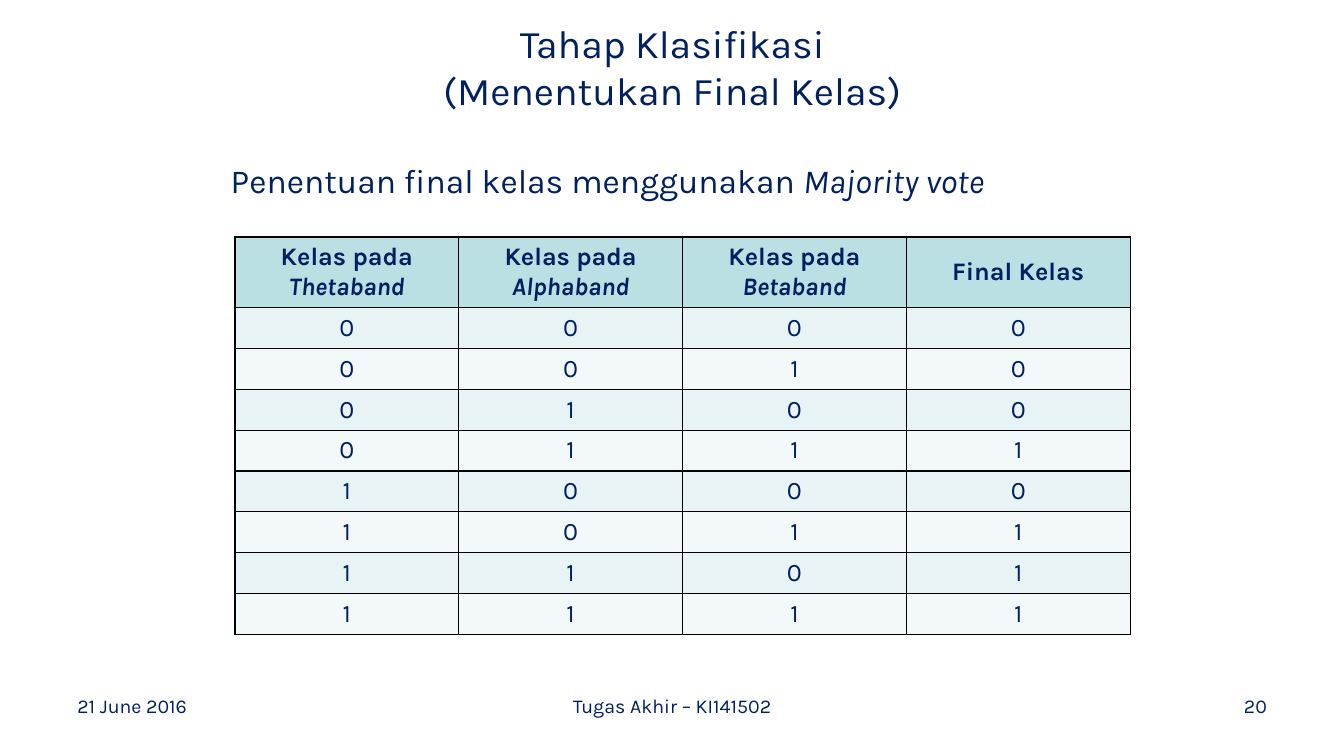
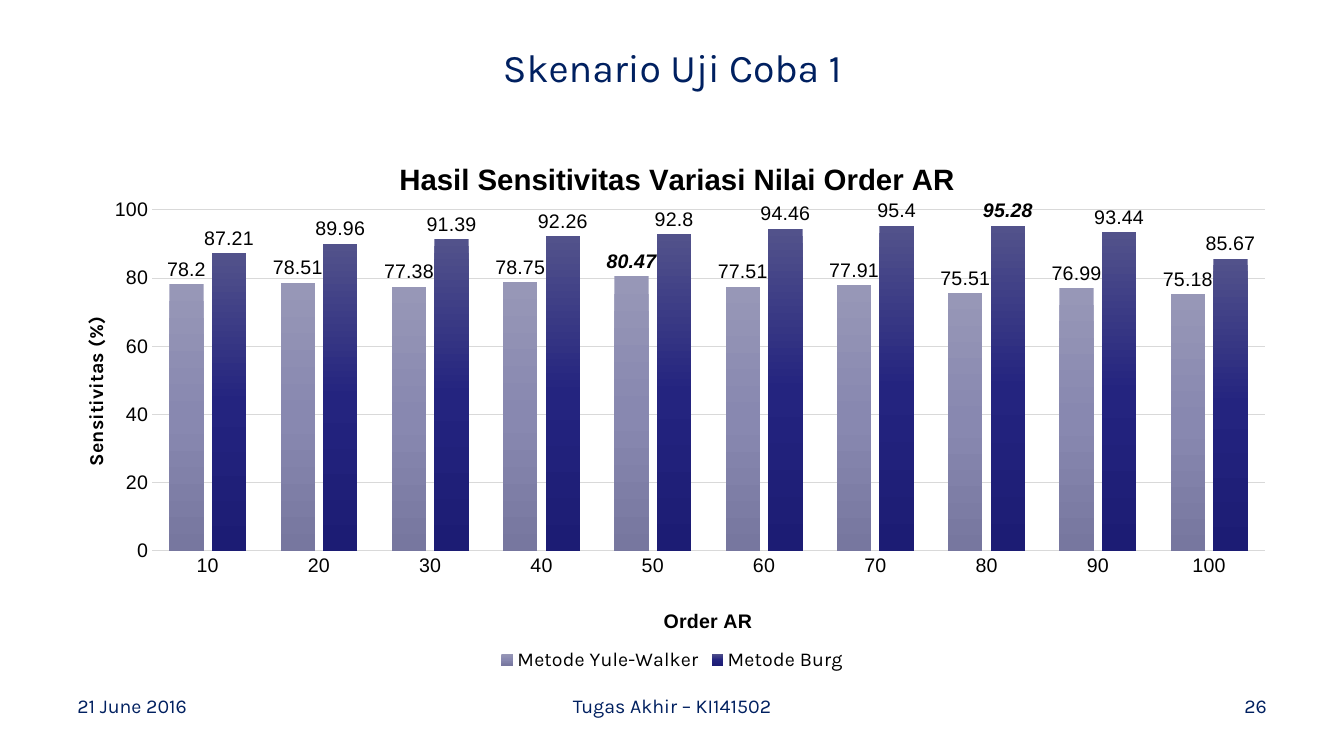
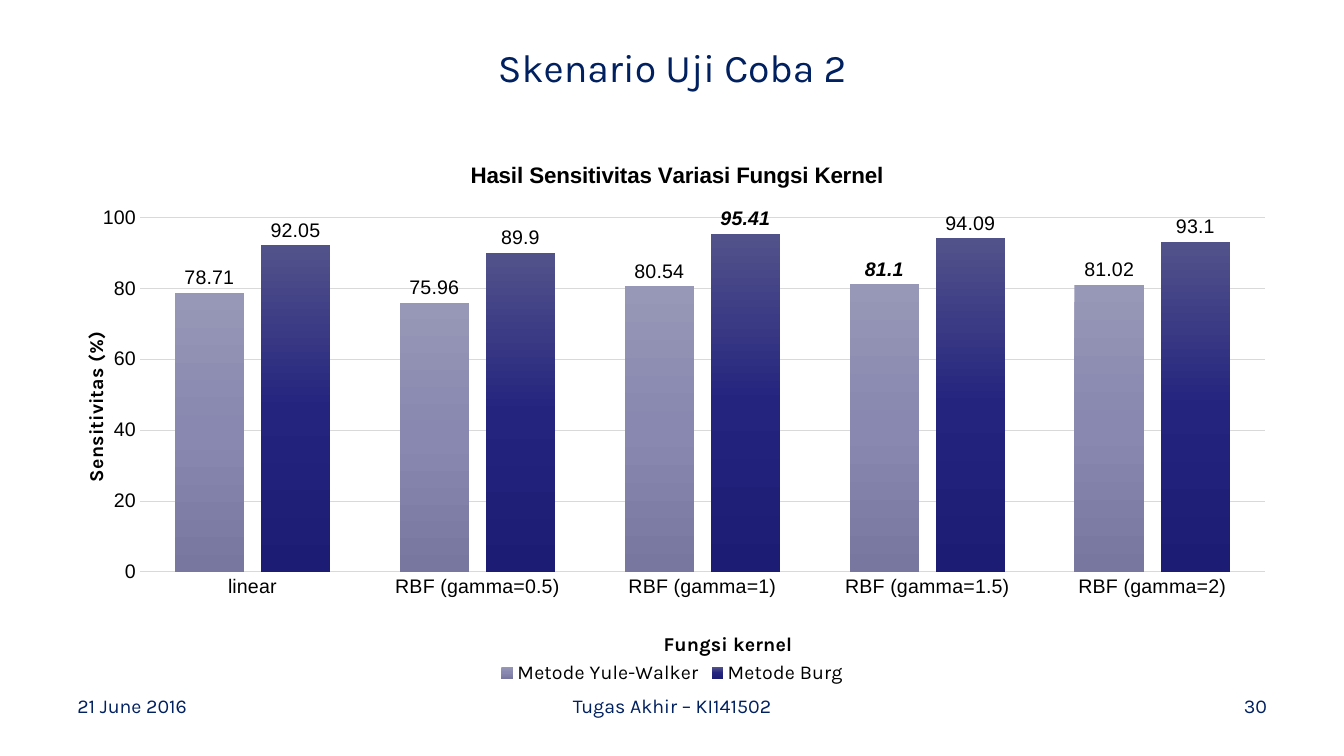
from pptx import Presentation
from pptx.chart.data import CategoryChartData
from pptx.dml.color import RGBColor
from pptx.enum.chart import (XL_CHART_TYPE, XL_LABEL_POSITION,
                             XL_LEGEND_POSITION, XL_TICK_MARK)
from pptx.enum.text import MSO_ANCHOR, MSO_AUTO_SIZE, PP_ALIGN
from pptx.oxml import parse_xml
from pptx.oxml.ns import nsdecls, qn
from pptx.util import Cm, Pt

LEFT, CENTER, RIGHT = PP_ALIGN.LEFT, PP_ALIGN.CENTER, PP_ALIGN.RIGHT
TOP, MIDDLE = MSO_ANCHOR.TOP, MSO_ANCHOR.MIDDLE
CLUSTERED = XL_CHART_TYPE.COLUMN_CLUSTERED
OUTSIDE_END = XL_LABEL_POSITION.OUTSIDE_END
LEGEND_BOTTOM = XL_LEGEND_POSITION.BOTTOM
NO_TICK = XL_TICK_MARK.NONE

KARLA, ARIAL = "Karla", "Arial"
NAVY, BLACK, GRID = "002060", "000000", "D9D9D9"
HEADER_FILL, BAND_FILLS = "BBE0E3", ("E7F3F4", "F3F9FA")
GRADIENTS = (("9797B7", "8888B0", "77779F"), ("52528B", "24247F", "1C1C74"))
MARGIN, CONTENT_WIDTH = 1.7, 30.48


def color(hex_value):
    return RGBColor.from_string(hex_value)


def style_font(font, size=14, name=ARIAL, fill=BLACK, bold=False, italic=False):
    font.size, font.name = Pt(size), name
    font.bold, font.italic = bold, italic
    font.color.rgb = color(fill)


def write(frame, text, align=None, **font_format):
    """Each line is a paragraph; words between asterisks are italic."""
    for index, line in enumerate(text.split("\n")):
        paragraph = frame.add_paragraph() if index else frame.paragraphs[0]
        if align is not None:
            paragraph.alignment = align
        for part, words in enumerate(line.split("*")):
            if words:
                run = paragraph.add_run()
                run.text = words
                style_font(run.font, italic=part % 2 == 1, **font_format)


def set_layout(element, index, **fractions):
    """Place a chart part by fractions of the chart area."""
    for layout in element.findall(qn("c:layout")):
        element.remove(layout)
    modes = '<c:xMode val="edge"/><c:yMode val="edge"/>'
    values = "".join(f'<c:{key} val="{value}"/>' for key, value in fractions.items())
    target = '<c:layoutTarget val="inner"/>' if "w" in fractions else ""
    element.insert(index, parse_xml(
        f'<c:layout {nsdecls("c")}><c:manualLayout>{target}{modes}{values}'
        '</c:manualLayout></c:layout>'))


def set_gradient(series, hex_values):
    stops = "".join(
        f'<a:gs pos="{50000 * index}"><a:srgbClr val="{value}"/></a:gs>'
        for index, value in enumerate(hex_values))
    series.format.fill.gradient()
    old_fill = series.format.fill._xPr.find(qn("a:gradFill"))
    old_fill.getparent().replace(old_fill, parse_xml(
        f'<a:gradFill {nsdecls("a")} rotWithShape="1"><a:gsLst>{stops}</a:gsLst>'
        '<a:lin ang="5400000" scaled="0"/></a:gradFill>'))


def set_borders(cell):
    properties = cell._tc.get_or_add_tcPr()
    for side in ("lnL", "lnR", "lnT", "lnB"):
        properties.append(parse_xml(
            f'<a:{side} {nsdecls("a")} w="12700"><a:solidFill>'
            f'<a:srgbClr val="{BLACK}"/></a:solidFill></a:{side}>'))


class Deck:
    TITLE_AND_BODY, TITLE_ONLY = 1, 5

    def __init__(self):
        self.presentation = Presentation()
        self.presentation.slide_width = Cm(33.87)
        self.presentation.slide_height = Cm(19.05)
        self.slide = None

    def add_slide(self, title, number, layout=TITLE_ONLY):
        layouts = self.presentation.slide_layouts
        self.slide = self.presentation.slides.add_slide(layouts[layout])
        self.fill_placeholder(self.slide.shapes.title, title,
                              (MARGIN, 0.5, CONTENT_WIDTH, 2.36),
                              MIDDLE, align=CENTER, size=28)
        # Footer: date, course, page
        self.footer(MARGIN, 7.9, "21 June 2016", LEFT)
        self.footer(11.58, 10.72, "Tugas Akhir – KI141502", CENTER)
        self.footer(24.28, 7.9, str(number), RIGHT)

    def fill_placeholder(self, shape, text, box, anchor, **text_format):
        shape.left, shape.top, shape.width, shape.height = map(Cm, box)
        frame = shape.text_frame
        frame.auto_size, frame.word_wrap = MSO_AUTO_SIZE.NONE, True
        frame.vertical_anchor = anchor
        write(frame, text, name=KARLA, fill=NAVY, **text_format)

    def footer(self, left, width, text, align):
        box = self.slide.shapes.add_textbox(Cm(left), Cm(17.35), Cm(width), Cm(1.32))
        box.text_frame.word_wrap = True
        write(box.text_frame, text, align=align, name=KARLA, fill=NAVY)

    def body(self, text):
        shape = self.slide.placeholders[1]
        self.fill_placeholder(shape, text, (5.56, 3.89, 26.62, 13.13), TOP, size=24)
        for paragraph in shape.text_frame.paragraphs:
            properties = paragraph._p.get_or_add_pPr()
            properties.set("marL", "0")
            properties.set("indent", "0")
            properties.append(parse_xml(f'<a:buNone {nsdecls("a")}/>'))

    def table(self, rows, left, top, column_width, header_height, row_height):
        columns = len(rows[0])
        height = header_height + row_height * (len(rows) - 1)
        table = self.slide.shapes.add_table(
            len(rows), columns, Cm(left), Cm(top),
            Cm(column_width * columns), Cm(height)).table
        for column in table.columns:
            column.width = Cm(column_width)
        for row_index, values in enumerate(rows):
            is_header = row_index == 0
            table.rows[row_index].height = Cm(header_height if is_header else row_height)
            fill = HEADER_FILL if is_header else BAND_FILLS[(row_index - 1) % 2]
            for column_index, value in enumerate(values):
                cell = table.cell(row_index, column_index)
                set_borders(cell)
                cell.fill.solid()
                cell.fill.fore_color.rgb = color(fill)
                cell.vertical_anchor = MIDDLE
                write(cell.text_frame, value, align=CENTER, size=18,
                      name=KARLA, fill=NAVY, bold=is_header)

    def chart(self, height, categories, series_values, best, plot_box, titles):
        data = CategoryChartData()
        data.categories = categories
        for name, values in series_values.items():
            data.add_series(name, values)
        chart = self.slide.shapes.add_chart(
            CLUSTERED, Cm(MARGIN), Cm(3.38), Cm(CONTENT_WIDTH), Cm(height), data).chart
        style_font(chart.font, size=10)
        plot = chart.plots[0]
        plot.gap_width, plot.overlap, plot.vary_by_categories = 100, -24, False
        set_layout(chart._chartSpace.chart.plotArea, 0, **plot_box)

        # Legend
        chart.has_legend = True
        chart.legend.position = LEGEND_BOTTOM
        chart.legend.include_in_layout = False
        style_font(chart.legend.font, name=KARLA)

        # Axes
        category_axis, value_axis = chart.category_axis, chart.value_axis
        for axis in (category_axis, value_axis):
            axis.major_tick_mark = axis.minor_tick_mark = NO_TICK
            style_font(axis.tick_labels.font)
        value_axis.minimum_scale, value_axis.maximum_scale = 0, 100
        value_axis.major_unit = 20
        value_axis.format.line.fill.background()
        value_axis.has_major_gridlines = True
        for line in (category_axis.format.line, value_axis.major_gridlines.format.line):
            line.color.rgb, line.width = color(GRID), Pt(0.75)

        # Titles of the chart and of both axes
        chart.has_title = True
        chart_parts = (chart.chart_title, category_axis.axis_title, value_axis.axis_title)
        for part, (text, x, y, size, font_name) in zip(chart_parts, titles):
            write(part.text_frame, text, size=size, name=font_name, bold=True)
            set_layout(part._element, 1, x=x, y=y)
        body = value_axis.axis_title._element.find(".//" + qn("a:bodyPr"))
        body.set("rot", "-5400000")
        body.set("vert", "horz")

        # Columns and value labels, the best of each series emphasised
        for series, gradient, best_index in zip(plot.series, GRADIENTS, best):
            set_gradient(series, gradient)
            labels = series.data_labels
            labels.show_value, labels.position = True, OUTSIDE_END
            style_font(labels.font)
            best_label = series.points[best_index].data_label
            style_font(best_label.font, bold=True, italic=True)
            best_label.position = OUTSIDE_END


def main():
    deck = Deck()

    # Majority vote table
    deck.add_slide("Tahap Klasifikasi\n(Menentukan Final Kelas)", 20, Deck.TITLE_AND_BODY)
    deck.body("Penentuan final kelas menggunakan *Majority vote*")
    header = [f"Kelas pada\n*{band}*" for band in ("Thetaband", "Alphaband", "Betaband")]
    rows = [header + ["Final Kelas"]]
    for number in range(8):
        votes = f"{number:03b}"
        rows.append([*votes, "1" if votes.count("1") > 1 else "0"])
    deck.table(rows, left=5.92, top=5.97, column_width=5.64,
               header_height=1.74, row_height=1.03)

    # Sensitivity by AR order
    deck.add_slide("Skenario Uji Coba 1", 26)
    deck.chart(
        13.64, [str(order) for order in range(10, 101, 10)],
        {"Metode Yule-Walker": (78.2, 78.51, 77.38, 78.75, 80.47,
                                77.51, 77.91, 75.51, 76.99, 75.18),
         "Metode Burg": (87.21, 89.96, 91.39, 92.26, 92.8,
                         94.46, 95.4, 95.28, 93.44, 85.67)},
        best=(4, 7), plot_box=dict(x=0.07, y=0.14, w=0.92, h=0.63),
        titles=(("Hasil Sensitivitas Variasi Nilai Order AR", 0.27, 0.04, 21, ARIAL),
                ("Order AR", 0.49, 0.87, 14, ARIAL),
                ("Sensitivitas (%)", 0.01, 0.33, 14, KARLA)))

    # Sensitivity by kernel function
    deck.add_slide("Skenario Uji Coba 2", 30)
    deck.chart(
        13.97, ["linear"] + [f"RBF (gamma={gamma})" for gamma in (0.5, 1, 1.5, 2)],
        {"Metode Yule-Walker": (78.71, 75.96, 80.54, 81.1, 81.02),
         "Metode Burg": (92.05, 89.9, 95.41, 94.09, 93.1)},
        best=(3, 2), plot_box=dict(x=0.06, y=0.15, w=0.93, h=0.64),
        titles=(("Hasil Sensitivitas Variasi Fungsi Kernel", 0.33, 0.04, 16, ARIAL),
                ("Fungsi kernel", 0.49, 0.89, 14, KARLA),
                ("Sensitivitas (%)", 0.01, 0.35, 14, KARLA)))

    deck.presentation.save("out.pptx")


if __name__ == "__main__":
    main()
